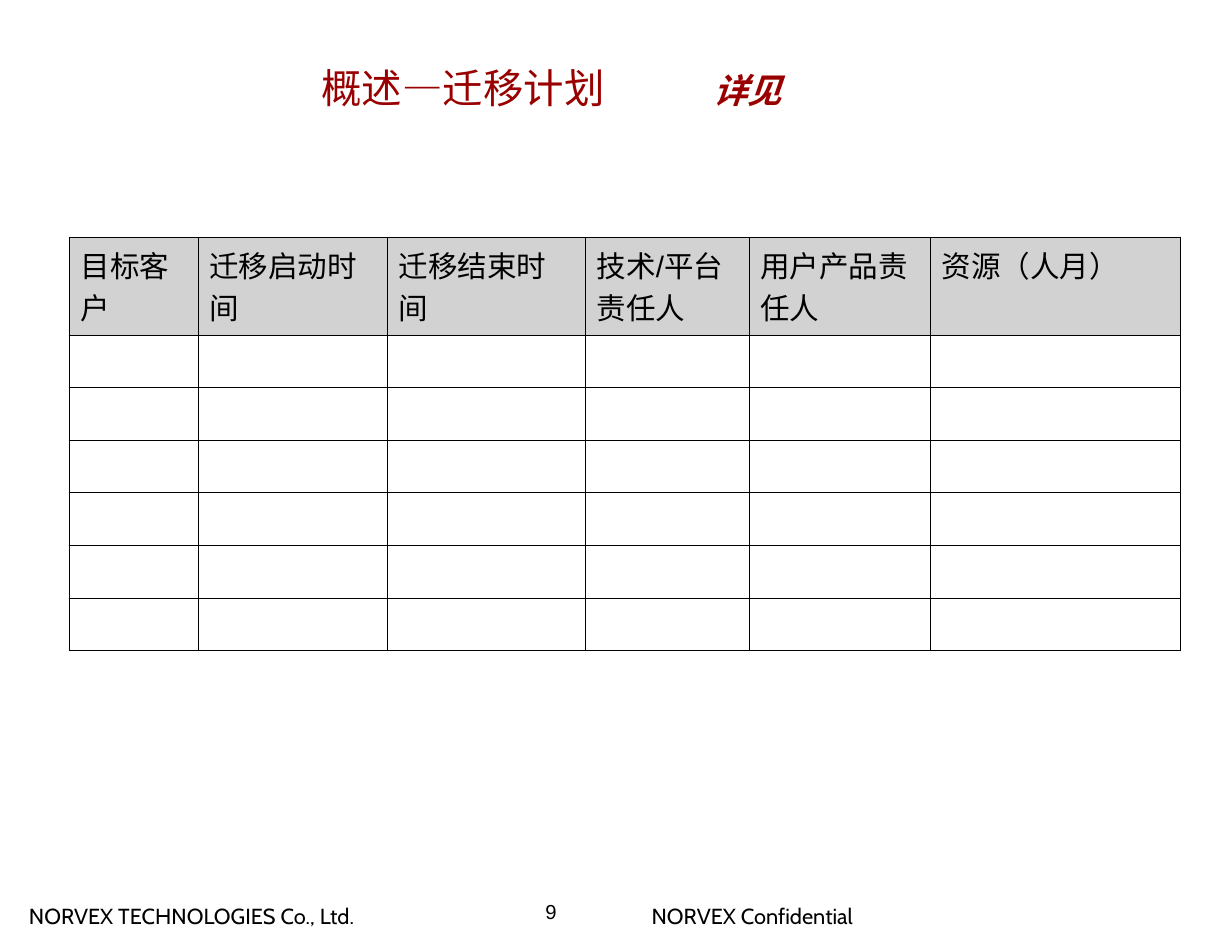
from lxml.etree import SubElement
from pptx import Presentation
from pptx.dml.color import RGBColor
from pptx.enum.text import MSO_ANCHOR, PP_ALIGN
from pptx.oxml.ns import qn
from pptx.util import Inches, Pt

WIDTH, HEIGHT = 11, 8.5
BLACK, RED, GREY = "000000", "990000", "D2D2D2"
THIN, THICK = 0.45, 1.08
HEADINGS = ["目标客户", "迁移启动时间", "迁移结束时间",
            "技术/平台责任人", "用户产品责任人", "资源（人月）"]
COLUMN_WIDTHS = [1.15, 1.69, 1.77, 1.46, 1.62, 2.23]
HEADER_HEIGHT, ROW_HEIGHT, EMPTY_ROWS = 0.87, 0.47, 6
FOOTER_TOP = 8.01
FOOTERS = [
    (0.16, 3.38, "NORVEX TECHNOLOGIES Co., Ltd."),
    (5.72, 2.27, "NORVEX Confidential"),
]


def color(value):
    """Turn a hex string into a colour."""
    return RGBColor.from_string(value)


def add_span(para, text, fill=BLACK, **formats):
    """Add a run of text with the given font values."""
    span = para.add_run()
    span.text = text
    span.font.color.rgb = color(fill)
    for name, value in {"name": "Arial", **formats}.items():
        setattr(span.font, name, value)


def set_frame(frame, **formats):
    """Set text frame values."""
    for name, value in formats.items():
        setattr(frame, name, value)


def add_label(page, left, top, width, height, text, margin=None, **formats):
    """Add a one-line text box."""
    box = page.shapes.add_textbox(*map(Inches, (left, top, width, height)))
    frame = box.text_frame
    set_frame(frame, word_wrap=True)
    if margin is not None:
        sides = ("left", "top", "right", "bottom")
        set_frame(frame, **{f"margin_{side}": margin for side in sides})
    add_span(frame.paragraphs[0], text, **formats)


def fill_title(page):
    """Place the title and its tabbed remark."""
    title = page.shapes.title
    title.left, title.top, title.width, title.height = map(
        Inches, (2.77, 0.45, 5.43, 0.63))
    set_frame(title.text_frame, word_wrap=True, vertical_anchor=MSO_ANCHOR.MIDDLE)
    para = title.text_frame.paragraphs[0]
    para.alignment = PP_ALIGN.LEFT
    stops = SubElement(para._p.get_or_add_pPr(), qn("a:tabLst"))
    SubElement(stops, qn("a:tab"), pos=str(Inches(3.5)), algn="l")
    add_span(para, "概述—迁移计划", RED, size=Pt(26))
    add_span(para, "\t", RED, size=Pt(28), bold=True)
    add_span(para, "详见", RED, size=Pt(22), bold=True, italic=True)


def set_borders(cell, widths):
    """Draw the cell borders from a dict of side and width."""
    properties = cell._tc.get_or_add_tcPr()
    for index, (side, width) in enumerate(widths.items()):
        line = SubElement(properties, qn(f"a:ln{side}"), w=str(Pt(width)))
        properties.insert(index, line)
        fill = SubElement(line, qn("a:solidFill"))
        SubElement(fill, qn("a:srgbClr"), val=BLACK)


def add_plan_table(page):
    """Add the migration plan grid with a grey header row."""
    row_count, column_count = EMPTY_ROWS + 1, len(HEADINGS)
    height = HEADER_HEIGHT + EMPTY_ROWS * ROW_HEIGHT
    table = page.shapes.add_table(
        row_count, column_count,
        *map(Inches, (0.62, 2.12, sum(COLUMN_WIDTHS), height))).table
    table.first_row = table.horz_banding = False
    for column, width in zip(table.columns, COLUMN_WIDTHS):
        column.width = Inches(width)
    for row_index, row in enumerate(table.rows):
        row.height = Inches(ROW_HEIGHT if row_index else HEADER_HEIGHT)
        for column_index, cell in enumerate(row.cells):
            if row_index:
                cell.fill.background()
            else:
                cell.fill.solid()
                cell.fill.fore_color.rgb = color(GREY)
                add_span(cell.text_frame.paragraphs[0],
                         HEADINGS[column_index], size=Pt(19))
            outer = {
                "L": column_index == 0,
                "R": column_index == column_count - 1,
                "T": row_index == 0,
                "B": row_index == row_count - 1,
            }
            set_borders(cell, {side: THICK if edge else THIN
                               for side, edge in outer.items()})


def main():
    """Build and save the deck."""
    deck = Presentation()
    deck.slide_width, deck.slide_height = Inches(WIDTH), Inches(HEIGHT)
    page = deck.slides.add_slide(deck.slide_layouts[5])
    for left, width, text in FOOTERS:
        add_label(page, left, FOOTER_TOP, width, 0.33, text,
                  name="Cabin", size=Pt(14))
    fill_title(page)
    add_plan_table(page)
    add_label(page, 4.87, 8.03, 0.24, 0.24, "9", margin=0, size=Pt(13))
    deck.save("out.pptx")


if __name__ == "__main__":
    main()
